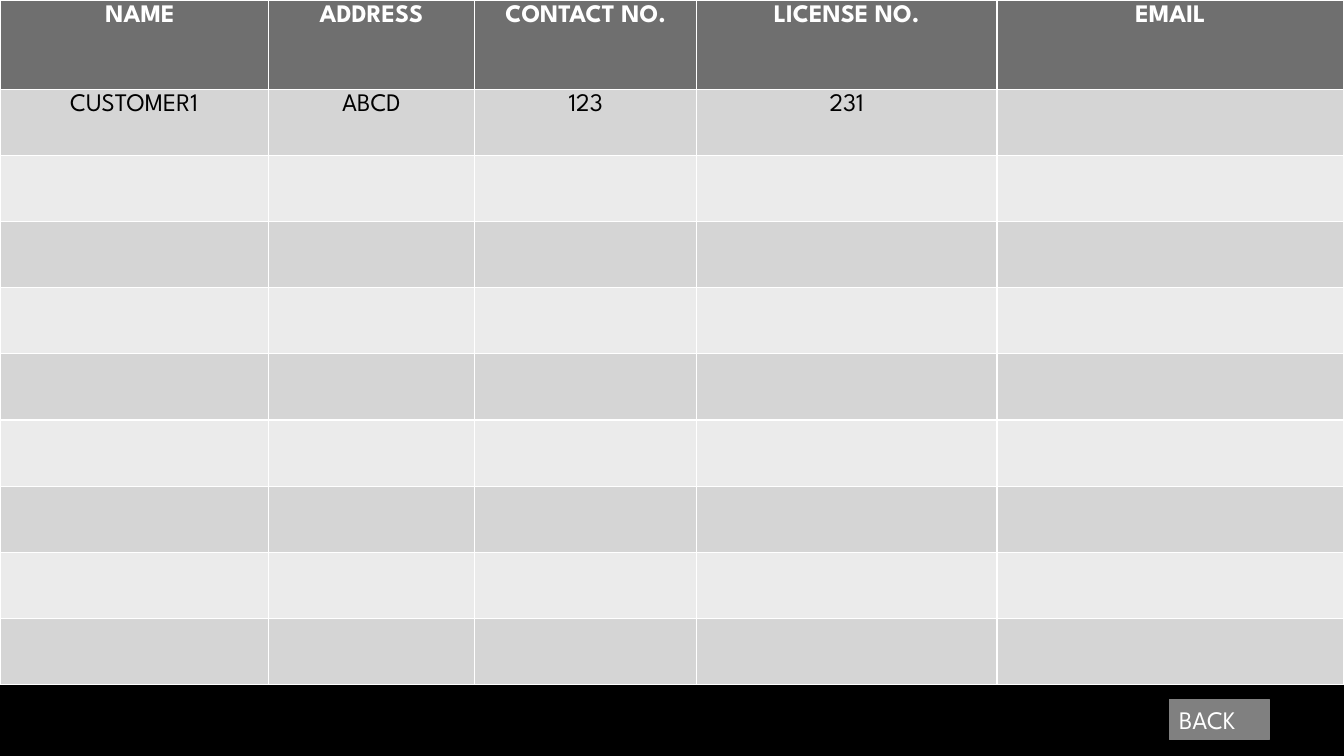
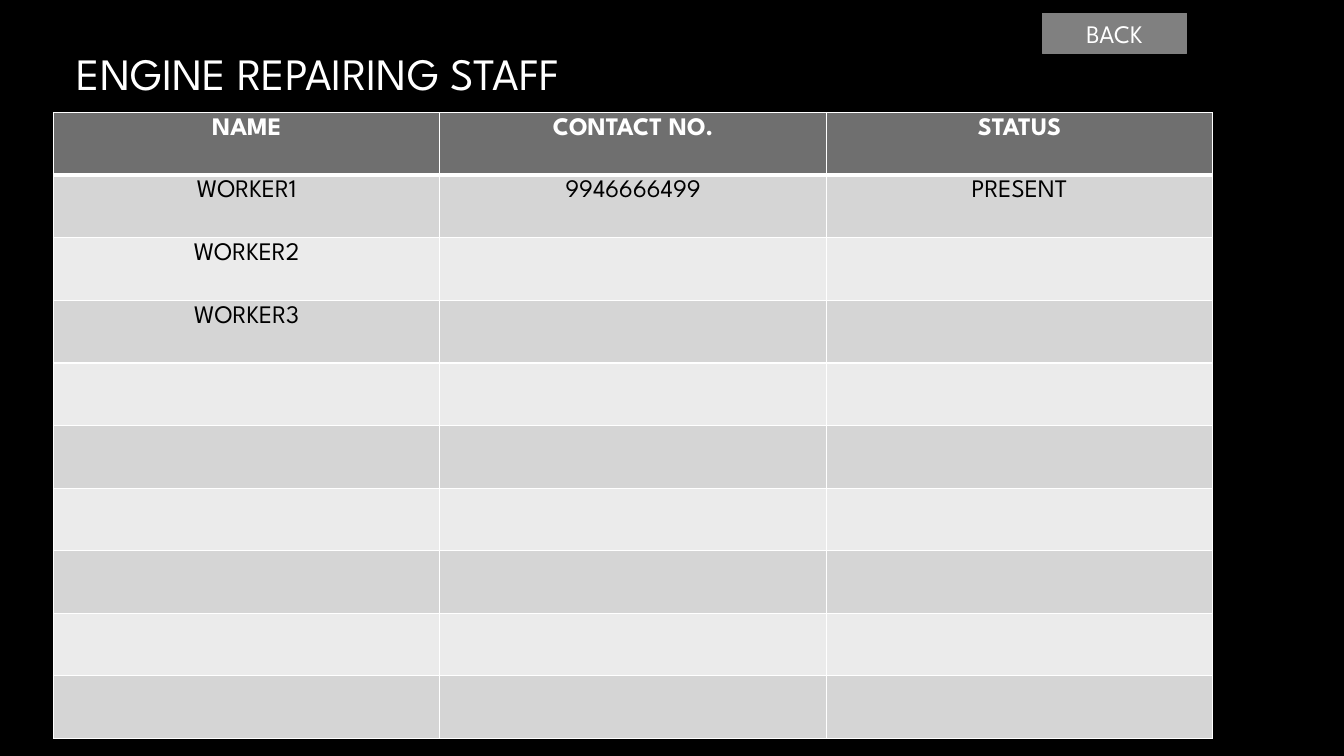
from itertools import product
from lxml import etree
from pptx import Presentation
from pptx.dml.color import RGBColor
from pptx.enum.shapes import MSO_SHAPE as Shape
from pptx.enum.text import MSO_ANCHOR as Anchor, PP_ALIGN as Align
from pptx.oxml.ns import qn
from pptx.util import Inches, Pt

WHITE, BLACK, HEADER, BUTTON = "FFFFFF", "000000", "6F6F6F", "808080"
BANDS = ["EBEBEB", "D5D5D5"]
ROWS = 10
BUTTON_HEIGHT = 5.33


def paint(fill, color):
    fill.solid()
    fill.fore_color.rgb = RGBColor.from_string(color)


def write(frame, text, size=18, color=WHITE, bold=False, align=Align.CENTER):
    frame.text = text
    line = frame.paragraphs[0]
    line.alignment = align
    line.font.size = Pt(size)
    for run in line.runs:
        run.font.name = "League Spartan"
        run.font.size = Pt(size)
        run.font.bold = bold
        paint(run.font.fill, color)


deck = Presentation()
deck.slide_width, deck.slide_height = Inches(13.33), Inches(7.5)
across, down = deck.slide_width / 100, deck.slide_height / 100
paint(deck.slide_master.background.fill, BLACK)

pages = [
    {
        "title": None,
        "left": 0, "top": 0, "height": 90.6, "header_height": 11.8,
        "columns": [19.95, 15.38, 16.5, 22.35, 25.82],
        "rule": 1, "first_indent": 0.22,
        "text": [
            ["NAME", "ADDRESS", "CONTACT NO.", "LICENSE NO.", "EMAIL"],
            ["CUSTOMER1", "ABCD", "123", "231"],
        ],
        "back": (87, 92.53, 7.43), "back_align": Align.LEFT,
    },
    {
        "title": "ENGINE REPAIRING STAFF",
        "left": 3.98, "top": 14.9, "height": 82.8, "header_height": 8.28,
        "columns": [28.75] * 3,
        "rule": 3, "first_indent": 0.1,
        "text": [
            ["NAME", "CONTACT NO.", "STATUS"],
            ["WORKER1", "9946666499", "PRESENT"],
            ["WORKER2"],
            ["WORKER3"],
        ],
        "back": (77.55, 1.73, 10.75), "back_align": Align.CENTER,
    },
]

for page in pages:
    slide = deck.slides.add_slide(deck.slide_layouts[5 if page["title"] else 6])
    if page["title"]:
        title = slide.shapes.title
        title.left, title.top = int(4.95 * across), 0
        title.width, title.height = int(86.25 * across), int(19.33 * down)
        title.text_frame.vertical_anchor = Anchor.MIDDLE
        write(title.text_frame, page["title"], size=32, align=Align.LEFT)

    columns = page["columns"]
    records = slide.shapes.add_table(
        ROWS, len(columns), int(page["left"] * across), int(page["top"] * down),
        int(sum(columns) * across), int(page["height"] * down)).table
    for column, share in zip(records.columns, columns):
        column.width = int(share * across)
    body_height = (page["height"] - page["header_height"]) / (ROWS - 1)
    for r, row in enumerate(records.rows):
        row.height = int((body_height if r else page["header_height"]) * down)

    for r, c in product(range(ROWS), range(len(columns))):
        cell = records.cell(r, c)
        words = page["text"][r] if r < len(page["text"]) else []
        write(cell.text_frame, words[c] if c < len(words) else "",
              color=BLACK if r else WHITE, bold=r == 0)
        paint(cell.fill, BANDS[r % 2] if r else HEADER)
        widths = {"L": 1, "R": 1,
                  "T": page["rule"] if r == 1 else 1,
                  "B": page["rule"] if r == 0 else 1}
        properties = cell._tc.get_or_add_tcPr()
        for place, (side, width) in enumerate(widths.items()):
            border = etree.Element(qn(f"a:ln{side}"), w=str(Pt(width)))
            solid = etree.SubElement(border, qn("a:solidFill"))
            etree.SubElement(solid, qn("a:srgbClr"), val=WHITE)
            properties.insert(place, border)
    records.cell(0, 0).margin_left = Inches(page["first_indent"])

    left, top, width = page["back"]
    back = slide.shapes.add_shape(
        Shape.RECTANGLE, int(left * across), int(top * down),
        int(width * across), int(BUTTON_HEIGHT * down))
    back.shadow.inherit = False
    paint(back.fill, BUTTON)
    paint(back.line.fill, BUTTON)
    back.line.width = Pt(0.75)
    write(back.text_frame, "BACK", align=page["back_align"])

deck.save("out.pptx")
